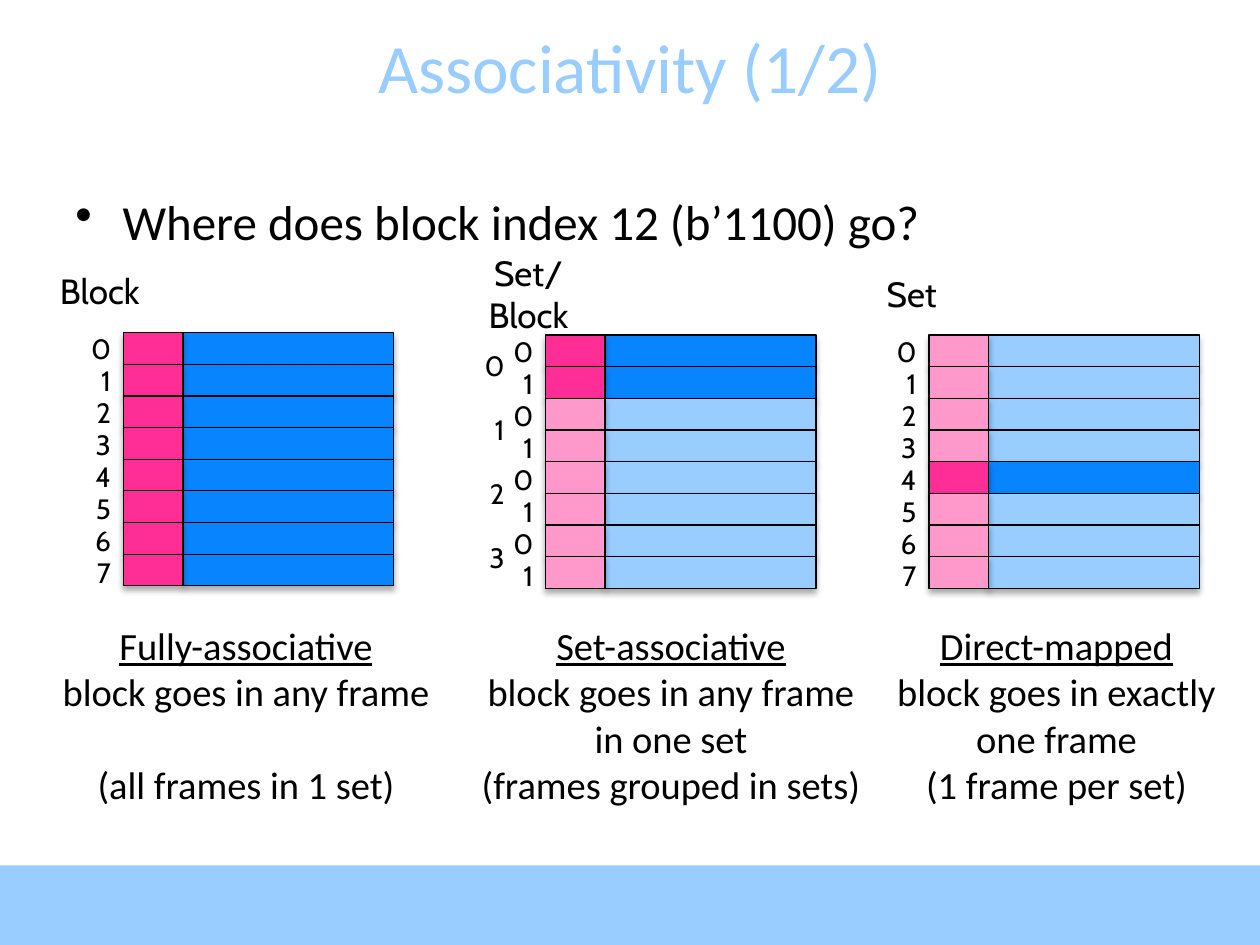
import pptx
import pptx.util
import pptx.dml.color
import pptx.enum.shapes
import pptx.enum.text
from lxml import etree

Pt = pptx.util.Pt
ALIGN = pptx.enum.text.PP_ALIGN
RECT = pptx.enum.shapes.MSO_SHAPE.RECTANGLE
NS = "http://schemas.openxmlformats.org/drawingml/2006/main"

COLORS = {"black": "000000", "sky": "99CCFF", "blue": "0984FF",
          "pink": "FF99CC", "magenta": "FF2D96"}
TITLE = "Associativity (1/2)"
QUESTION = "Where does block index 12 (b’1100) go?"
CACHES = [
    {"header": "Block", "header_dx": -45.4, "left": 70.5, "top": 190,
     "labels": "01234567", "sets": "", "active": range(8),
     "caption": ["Fully-associative", "block goes in any frame", "(all frames in 1 set)"],
     "caption_left": 26.6, "caption_width": 228, "last_gap": 26.8},
    {"header": "Set/Block", "header_dx": -41.8, "left": 311.8, "top": 191.5,
     "labels": "01010101", "sets": "0123", "active": (0, 1),
     "caption": ["Set-associative", "block goes in any frame in one set",
                 "(frames grouped in sets)"],
     "caption_left": 266.4, "caption_width": 234, "last_gap": 0},
    {"header": "Set", "header_dx": -41.8, "left": 530.8, "top": 191.5,
     "labels": "01234567", "sets": "", "active": (4,),
     "caption": ["Direct-mapped", "block goes in exactly one frame", "(1 frame per set)"],
     "caption_left": 504.7, "caption_width": 198, "last_gap": 0},
]
ROW, LABEL_ROW = 18.1, 18.3
TAG_W, DATA_W = 34, 120.5


def rgb(name):
    return pptx.dml.color.RGBColor.from_string(COLORS[name])


def box(shapes, fill, x, y, w, h, shadow, outlined=True):
    sp = shapes.add_shape(RECT, Pt(x), Pt(y), Pt(w), Pt(h))
    sp.fill.solid()
    sp.fill.fore_color.rgb = rgb(fill)
    if outlined:
        sp.line.color.rgb = rgb("black")
        sp.line.width = Pt(0.75)
    else:
        sp.line.fill.background()
    sp.shadow.inherit = False
    blur, dist, alpha = shadow
    effects = sp._element.spPr.find(f"{{{NS}}}effectLst")
    outer = etree.SubElement(effects, f"{{{NS}}}outerShdw", blurRad=str(Pt(blur)),
                             dist=str(Pt(dist)), dir="5400000", rotWithShape="0")
    color = etree.SubElement(outer, f"{{{NS}}}srgbClr", val=COLORS["black"])
    etree.SubElement(color, f"{{{NS}}}alpha", val=str(alpha * 1000))


def text(shapes, lines, x, y, w, h, size, font="Calibri", align=ALIGN.CENTER,
         color="black", middle=True, wrap=True):
    sp = shapes.add_textbox(Pt(x), Pt(y), Pt(w), Pt(h))
    tf = sp.text_frame
    tf.word_wrap = wrap
    if middle:
        tf.vertical_anchor = pptx.enum.text.MSO_ANCHOR.MIDDLE
    tf.text = "\n".join(lines)
    for p in tf.paragraphs:
        p.alignment = align
        p.font.size = Pt(size)
        p.font.name = font
        p.font.color.rgb = rgb(color)
    return tf.paragraphs


def cache(s, c):
    group = s.shapes.add_group_shape().shapes
    left, top = c["left"], c["top"]
    for i, label in enumerate(c["labels"]):
        data, tag = ("blue", "magenta") if i in c["active"] else ("sky", "pink")
        y = top + i * ROW
        box(group, data, left + TAG_W, y, DATA_W, ROW, (3.5, 2.2, 32))
        box(group, tag, left, y, TAG_W, ROW, (3.5, 2.2, 32))
        text(group, [label], left - TAG_W, top + i * LABEL_ROW, TAG_W, ROW,
             16, "Cabin", ALIGN.RIGHT)
    for i, label in enumerate(c["sets"]):
        text(group, [label], left - 50.4, top + 8 + i * 2 * LABEL_ROW, TAG_W, ROW,
             16, "Cabin", ALIGN.RIGHT)
    text(group, [c["header"]], left + c["header_dx"], top - 33.1, 64, ROW,
         20, "Cabin", wrap=False)
    ps = text(s.shapes, c["caption"], c["caption_left"], 352, c["caption_width"], 113.8,
              22, middle=False)
    ps[0].font.underline = True
    ps[-1].space_before = Pt(c["last_gap"])


prs = pptx.Presentation()
prs.slide_width, prs.slide_height = Pt(720), Pt(540)
s = prs.slides.add_slide(prs.slide_layouts[6])

box(s.shapes, "sky", 0, 494.5, 720, 45.5, (3.1, 1.8, 35), outlined=False)
text(s.shapes, [TITLE], 0, 15, 720, 45.5, 39.6, color="sky")
for c in CACHES:
    cache(s, c)

p = text(s.shapes, [QUESTION], 36, 106, 648, 41.8, 28, align=ALIGN.LEFT, middle=False)[0]
pPr = p._p.get_or_add_pPr()
pPr.set("marL", str(Pt(27)))
pPr.set("indent", str(-Pt(27)))
bullet = etree.Element(f"{{{NS}}}buChar", char="•")
pPr.insert(0, bullet)

prs.save("out.pptx")
